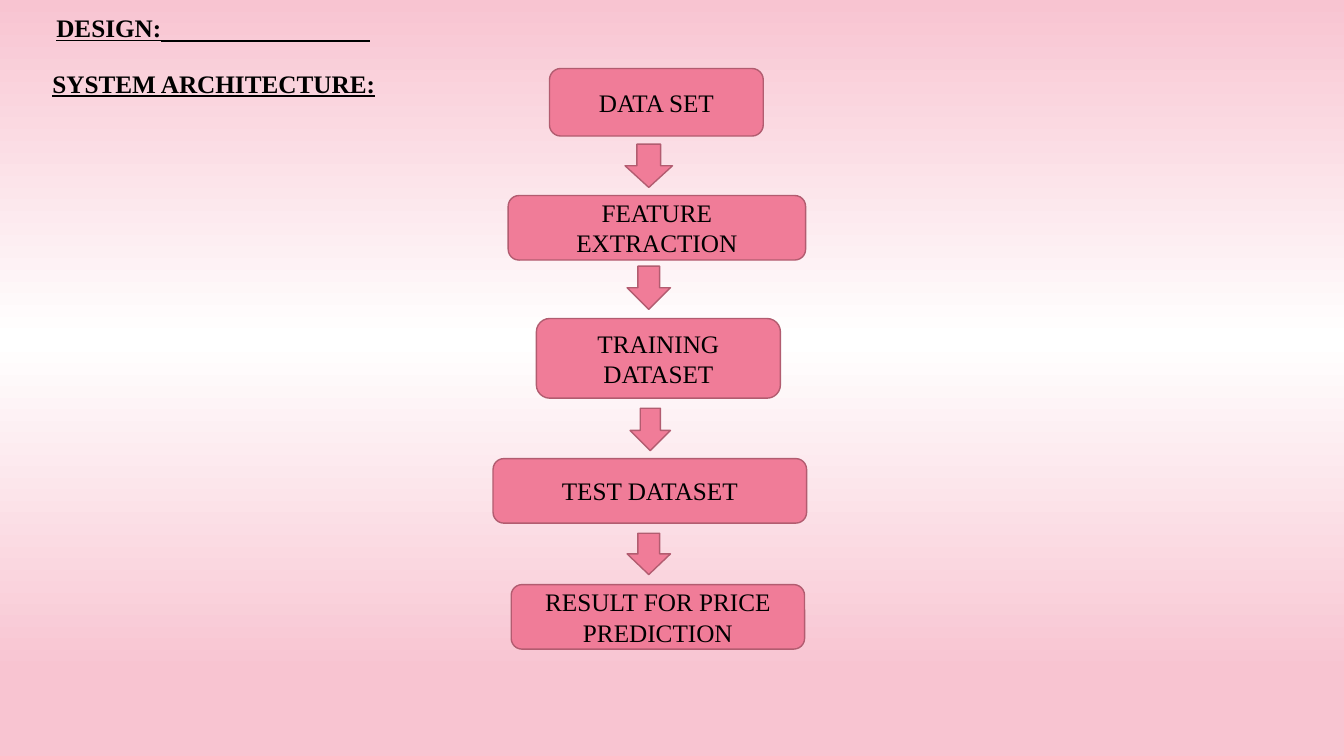
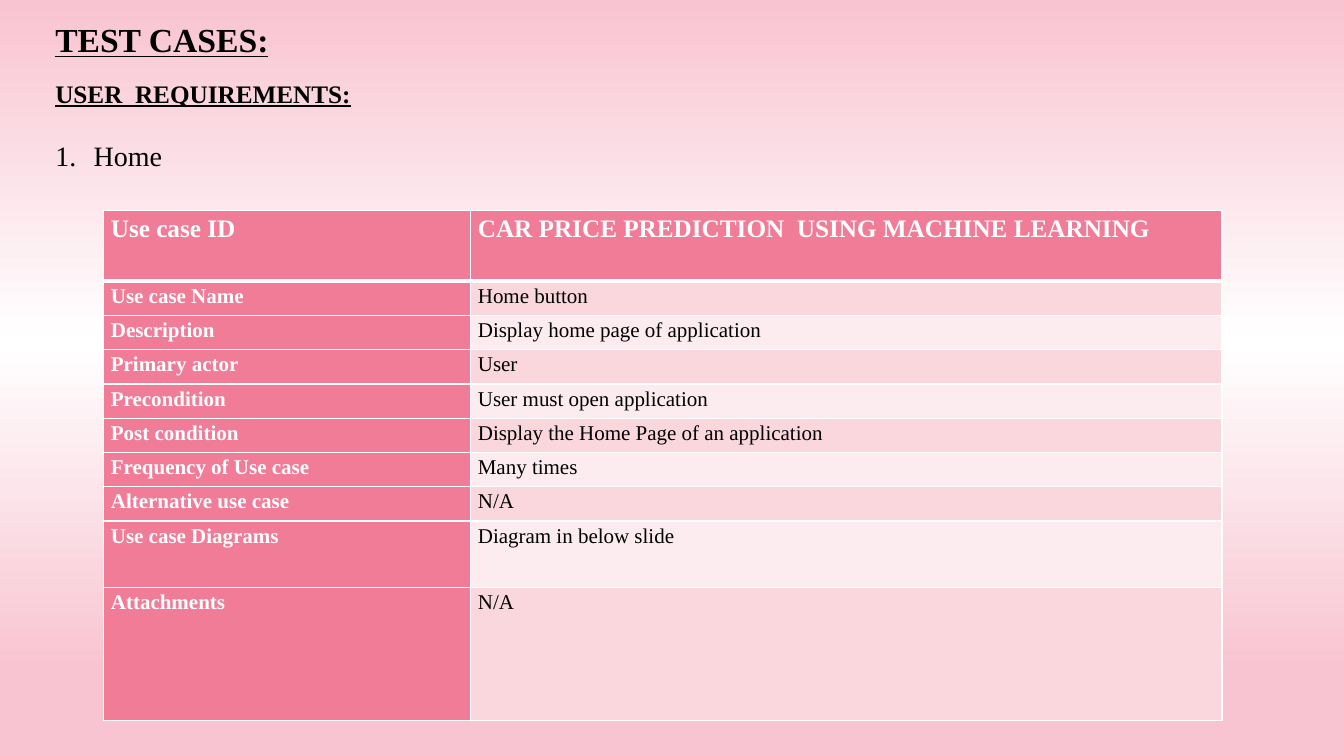
from lxml.etree import SubElement
from pptx import Presentation
from pptx.dml.color import RGBColor
from pptx.enum.shapes import MSO_CONNECTOR, MSO_SHAPE
from pptx.enum.text import MSO_ANCHOR, PP_ALIGN
from pptx.oxml import parse_xml
from pptx.oxml.ns import nsdecls, qn
from pptx.util import Inches, Pt

FONT = "Times New Roman"
ROSE = RGBColor(0xF0, 0x7C, 0x98)
ROSE_DARK = RGBColor(0xB2, 0x5C, 0x70)
BAND_DARK = RGBColor(0xF9, 0xD7, 0xDD)
BAND_LIGHT = RGBColor(0xFC, 0xEC, 0xEF)
BLUSH = RGBColor(0xF8, 0xC4, 0xD1)
BLACK = RGBColor(0, 0, 0)
WHITE = RGBColor(0xFF, 0xFF, 0xFF)

BACKGROUND_STOPS = [(0, BLUSH), (45, WHITE), (89, BLUSH)]


def add_page():
    """Add a blank slide with the shared vertical gradient."""
    page = deck.slides.add_slide(deck.slide_layouts[6])
    fill = page.background.fill
    fill.gradient()
    fill.gradient_angle = 270
    stops = page.background._cSld.find(".//" + qn("a:gsLst"))
    for stop in list(stops):
        stops.remove(stop)
    for percent, color in BACKGROUND_STOPS:
        stop = SubElement(stops, qn("a:gs"), pos=str(percent * 1000))
        SubElement(stop, qn("a:srgbClr"), val=str(color))
    return page


def style_text(para, size, color=BLACK, bold=False, underline=False):
    for span in para.runs:
        font = span.font
        font.name, font.size, font.color.rgb = FONT, Pt(size), color
        font.bold, font.underline = bold, underline


deck = Presentation()
deck.slide_width, deck.slide_height = Inches(13.33), Inches(7.5)

# Slide 1: system architecture
page = add_page()
heading = page.shapes.add_textbox(Inches(0.34), Inches(0.29), Inches(3.56), Inches(0.56))
frame = heading.text_frame
frame.word_wrap = True
frame.vertical_anchor = MSO_ANCHOR.MIDDLE
frame.text = "DESIGN:\nSYSTEM ARCHITECTURE:"
for para in frame.paragraphs:
    para.line_spacing = 0.9
    para.alignment = PP_ALIGN.CENTER
    style_text(para, 18, bold=True, underline=True)
design = frame.paragraphs[0]
design.alignment = PP_ALIGN.LEFT
design.space_after = Pt(20)
design._p.get_or_add_pPr().set("marL", str(Inches(0.12)))

rule = page.shapes.add_connector(
    MSO_CONNECTOR.STRAIGHT, Inches(1.6), Inches(0.41), Inches(3.67), Inches(0.41))
rule.line.color.rgb = BLACK
rule.line.width = Pt(1.5)
SubElement(rule._element.spPr, qn("a:effectLst"))

STEP, ARROW = MSO_SHAPE.ROUNDED_RECTANGLE, MSO_SHAPE.DOWN_ARROW
flow = [
    (STEP, 5.45, 0.68, 2.12, 0.67, "DATA SET"),
    (ARROW, 6.2, 1.43, 0.47, 0.43, ""),
    (STEP, 5.04, 1.94, 2.95, 0.64, "FEATURE EXTRACTION"),
    (ARROW, 6.22, 2.64, 0.43, 0.43, ""),
    (STEP, 5.32, 3.16, 2.42, 0.79, "TRAINING DATASET"),
    (ARROW, 6.25, 4.05, 0.4, 0.42, ""),
    (STEP, 4.89, 4.55, 3.11, 0.64, "TEST DATASET"),
    (ARROW, 6.22, 5.29, 0.43, 0.41, ""),
    (STEP, 5.07, 5.8, 2.91, 0.64, "RESULT FOR PRICE PREDICTION"),
]
for preset, left, top, width, height, label in flow:
    box = page.shapes.add_shape(
        preset, Inches(left), Inches(top), Inches(width), Inches(height))
    box.shadow.inherit = False
    box.fill.solid()
    box.fill.fore_color.rgb = ROSE
    box.line.color.rgb = ROSE_DARK
    box.line.width = Pt(1)
    if label:
        frame = box.text_frame
        frame.word_wrap = True
        frame.vertical_anchor = MSO_ANCHOR.MIDDLE
        frame.text = label
        para = frame.paragraphs[0]
        para.alignment = PP_ALIGN.CENTER
        style_text(para, 18)

# Slide 2: test cases
page = add_page()
use_case = [
    ("Use case ID", "CAR PRICE PREDICTION  USING MACHINE LEARNING"),
    ("Use case Name", "Home button"),
    ("Description", "Display home page of application"),
    ("Primary actor", "User"),
    ("Precondition", "User must open application"),
    ("Post condition", "Display the Home Page of an application"),
    ("Frequency of Use case", "Many times"),
    ("Alternative use case", "N/A"),
    ("Use case Diagrams", "Diagram in below slide"),
    ("Attachments", "N/A"),
]
row_heights = [0.7] + [0.34] * 7 + [0.66, 1.32]
table = page.shapes.add_table(
    len(use_case), 2, Inches(1.03), Inches(2.09), Inches(11.09), Inches(5.04)).table
table.columns[0].width = Inches(3.64)
table.columns[1].width = Inches(7.45)

for row, (texts, height) in enumerate(zip(use_case, row_heights)):
    table.rows[row].height = Inches(height)
    for column, text in enumerate(texts):
        cell = table.cell(row, column)
        cell.margin_left = cell.margin_right = Inches(0.07)
        cell.margin_top = cell.margin_bottom = 0
        heavy_side = {0: "B", 1: "T"}.get(row)
        for side in "LRTB":
            weight = Pt(3 if side == heavy_side else 1)
            cell._tc.get_or_add_tcPr().append(parse_xml(
                f'<a:ln{side} {nsdecls("a")} w="{weight}"><a:solidFill>'
                f'<a:srgbClr val="{WHITE}"/></a:solidFill></a:ln{side}>'))
        is_header = row == 0 or column == 0
        cell.fill.solid()
        cell.fill.fore_color.rgb = (
            ROSE if is_header else BAND_DARK if row % 2 else BAND_LIGHT)
        cell.text_frame.text = text
        para = cell.text_frame.paragraphs[0]
        para.line_spacing = 1.15
        para.space_after = Pt(10)
        style_text(para, 15 if row else 18, WHITE if is_header else BLACK, is_header)

heading = page.shapes.add_textbox(Inches(0.45), Inches(0.08), Inches(4.26), Inches(1.65))
frame = heading.text_frame
frame.word_wrap = True
frame.text = "TEST CASES:\nUSER  REQUIREMENTS:\nHome"
title, subtitle, item = frame.paragraphs
for para, size, spacing in [(title, 24, 1.15), (subtitle, 18, 1.15), (item, 20, 1.5)]:
    para.line_spacing = spacing
    para.space_after = Pt(10)
    is_heading = para is not item
    style_text(para, size, bold=is_heading, underline=is_heading)
title.alignment = item.alignment = PP_ALIGN.JUSTIFY
item_format = item._p.get_or_add_pPr()
item_format.set("marL", str(Inches(0.38)))
item_format.set("indent", str(-Inches(0.38)))
SubElement(item_format, qn("a:buFont"), typeface="+mj-lt")
SubElement(item_format, qn("a:buAutoNum"), type="arabicPeriod")

deck.save("out.pptx")
